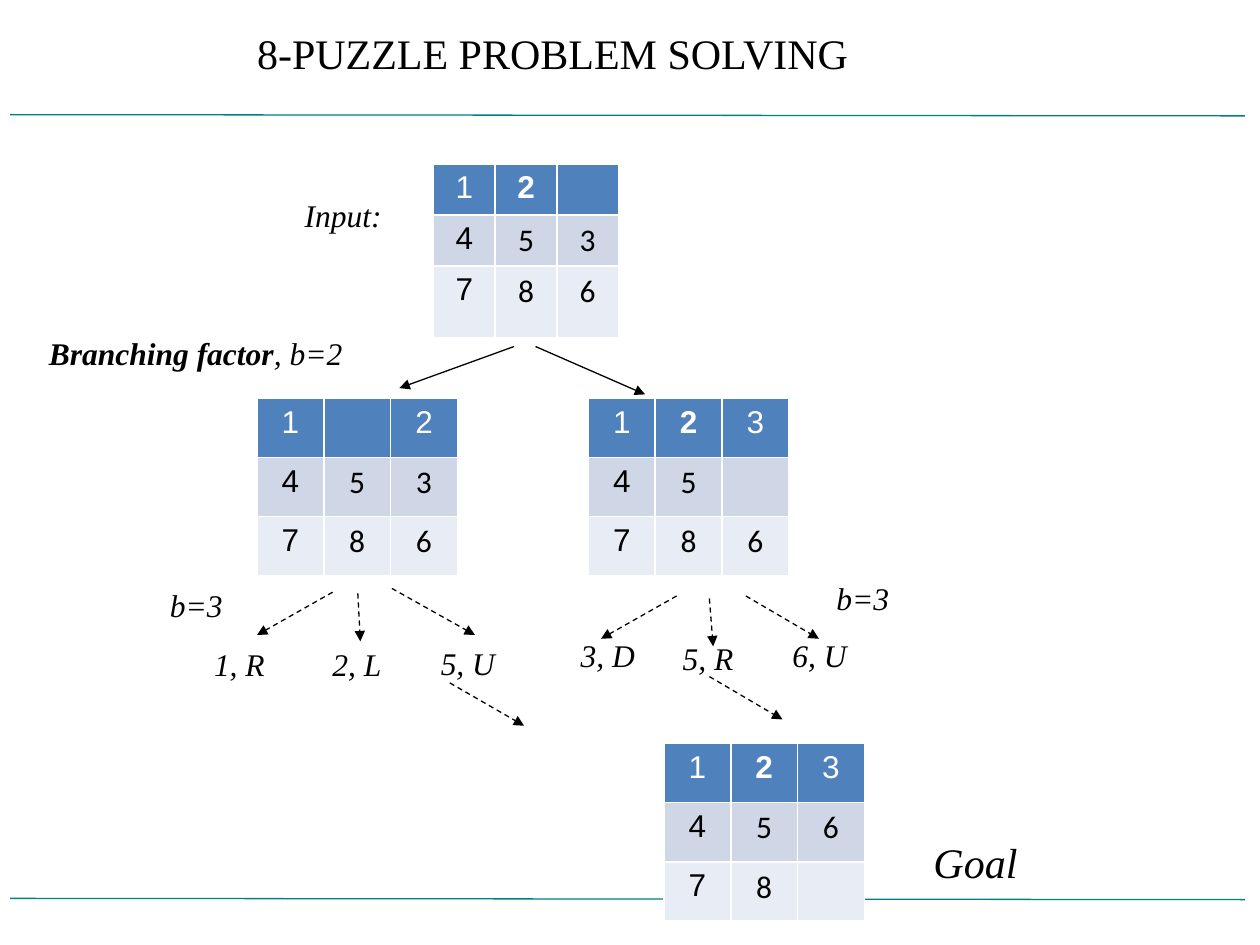
from lxml import etree
from pptx import Presentation
from pptx.dml.color import RGBColor
from pptx.enum.dml import MSO_LINE
from pptx.enum.shapes import MSO_CONNECTOR
from pptx.enum.text import MSO_AUTO_SIZE, PP_ALIGN
from pptx.oxml.ns import qn
from pptx.util import Inches, Pt

STRAIGHT = MSO_CONNECTOR.STRAIGHT
DASH = MSO_LINE.DASH
CENTER = PP_ALIGN.CENTER
GROW_SHAPE = MSO_AUTO_SIZE.SHAPE_TO_FIT_TEXT

BLACK = RGBColor(0x00, 0x00, 0x00)
WHITE = RGBColor(0xFF, 0xFF, 0xFF)
TEAL = RGBColor(0x00, 0x80, 0x80)
ROW_FILLS = (
    RGBColor(0x4F, 0x81, 0xBD),
    RGBColor(0xCF, 0xD7, 0xE7),
    RGBColor(0xE8, 0xEC, 0xF4),
)

SERIF = "Times New Roman"
SIDE = 0.527  # cell width of the lower boards
SIDE = round(SIDE, 2)
BOARD_ROWS = (0.47, 0.47, 0.47)

# Boards: left, top, cell width, row heights, tiles row by row (space = gap)
BOARDS = (
    (3.44, 1.3, 0.49, (0.4, 0.4, 0.57), ("12 ", "453", "786")),
    (4.67, 3.16, SIDE, BOARD_ROWS, ("123", "45 ", "786")),
    (2.04, 3.16, SIDE, BOARD_ROWS, ("1 2", "453", "786")),
    (5.27, 5.9, SIDE, BOARD_ROWS, ("123", "456", "78 ")),
)

# Labels: text, left, top, width
LABELS = (
    ("Input:", 2.32, 1.51, 0.82),
    ("b=3", 1.25, 4.6, 0.62),
    ("b=3", 6.54, 4.55, 0.62),
    ("1, R", 1.6, 5.07, 0.61),
    ("2, L", 2.54, 5.07, 0.6),
    ("5, U", 3.4, 5.06, 0.64),
    ("3, D", 4.51, 5, 0.64),
    ("5, R", 5.32, 5.02, 0.61),
    ("6, U", 6.19, 5, 0.64),
)

# Arrows: start x, start y, end x, end y
EXPANDED_MOVES = ((4.08, 2.75, 3.17, 3.08), (4.25, 2.75, 5.12, 3.13))
POSSIBLE_MOVES = (
    (2.64, 4.7, 2.04, 5.04),
    (2.84, 4.71, 2.86, 5.09),
    (3.11, 4.67, 3.77, 5.04),
    (5.37, 4.73, 4.77, 5.07),
    (5.63, 4.75, 5.66, 5.13),
    (5.92, 4.73, 6.5, 5.07),
    (3.57, 5.42, 4.16, 5.76),
    (5.63, 5.37, 6.21, 5.71),
)


def add_run(paragraph, text, size, font, color=BLACK, bold=None, italic=None):
    run = paragraph.add_run()
    run.text = text
    run.font.size = Pt(size)
    run.font.name = font
    run.font.color.rgb = color
    run.font.bold = bold
    run.font.italic = italic


def add_text_box(slide, left, top, width, height):
    box = slide.shapes.add_textbox(
        Inches(left), Inches(top), Inches(width), Inches(height))
    frame = box.text_frame
    frame.word_wrap = False
    frame.auto_size = GROW_SHAPE
    return frame


def add_title(slide, text):
    frame = add_text_box(slide, 2.04, 0.22, 8.5, 1)
    frame.word_wrap = True
    frame.auto_size = MSO_AUTO_SIZE.NONE
    frame.margin_left = frame.margin_right = 0
    frame.margin_top = frame.margin_bottom = 0
    add_run(frame.paragraphs[0], text, 24, SERIF)


def add_label(slide, text, left, top, width, height=0.4, size=18):
    frame = add_text_box(slide, left, top, width, height)
    add_run(frame.paragraphs[0], text, size, SERIF, italic=True)


def add_line(slide, points, color=BLACK):
    line = slide.shapes.add_connector(STRAIGHT, *map(Inches, points))
    line.line.color.rgb = color
    line.line.width = Pt(0.75)
    etree.SubElement(line._element.spPr, qn("a:effectLst"))
    return line


def add_arrow(slide, points, dashed=False):
    arrow = add_line(slide, points)
    if dashed:
        arrow.line.dash_style = DASH
    outline = arrow.line._get_or_add_ln()
    etree.SubElement(outline, qn("a:tailEnd"), type="triangle")


def add_board(slide, left, top, cell_width, row_heights, tiles):
    """Draw a 3 x 3 board; the table style supplies the white borders."""
    table = slide.shapes.add_table(
        3, 3, Inches(left), Inches(top),
        Inches(3 * cell_width), Inches(sum(row_heights))).table
    for column in table.columns:
        column.width = Inches(cell_width)
    for row_index, row_tiles in enumerate(tiles):
        table.rows[row_index].height = Inches(row_heights[row_index])
        is_header = row_index == 0
        for column_index, tile in enumerate(row_tiles):
            cell = table.cell(row_index, column_index)
            cell.fill.solid()
            cell.fill.fore_color.rgb = ROW_FILLS[row_index]
            if tile == " ":
                continue
            paragraph = cell.text_frame.paragraphs[0]
            paragraph.alignment = CENTER
            font = "Arial" if is_header or column_index == 0 else "Calibri"
            color = WHITE if is_header else BLACK
            bold = True if is_header and column_index == 1 else None
            add_run(paragraph, tile, 18, font, color, bold)


def main():
    presentation = Presentation()
    presentation.slide_width = Inches(10)
    presentation.slide_height = Inches(7.5)
    slide = presentation.slides.add_slide(presentation.slide_layouts[6])

    # Rules and title
    for top in (0.91, 7.13):
        add_line(slide, (0.08, top, 9.88, top + 0.01), TEAL)
    add_title(slide, "8-PUZZLE PROBLEM SOLVING")

    # Search tree
    for board in BOARDS:
        add_board(slide, *board)
    for points in EXPANDED_MOVES:
        add_arrow(slide, points)
    for points in POSSIBLE_MOVES:
        add_arrow(slide, points, dashed=True)

    # Labels
    for label in LABELS:
        add_label(slide, *label)
    add_label(slide, "Goal", 7.31, 6.59, 0.88, 0.51, 24)
    branching = add_text_box(slide, 0.29, 2.6, 2.55, 0.4).paragraphs[0]
    add_run(branching, "Branching factor", 18, SERIF, bold=True, italic=True)
    add_run(branching, ", b=2", 18, SERIF, italic=True)

    presentation.save("out.pptx")


if __name__ == "__main__":
    main()
